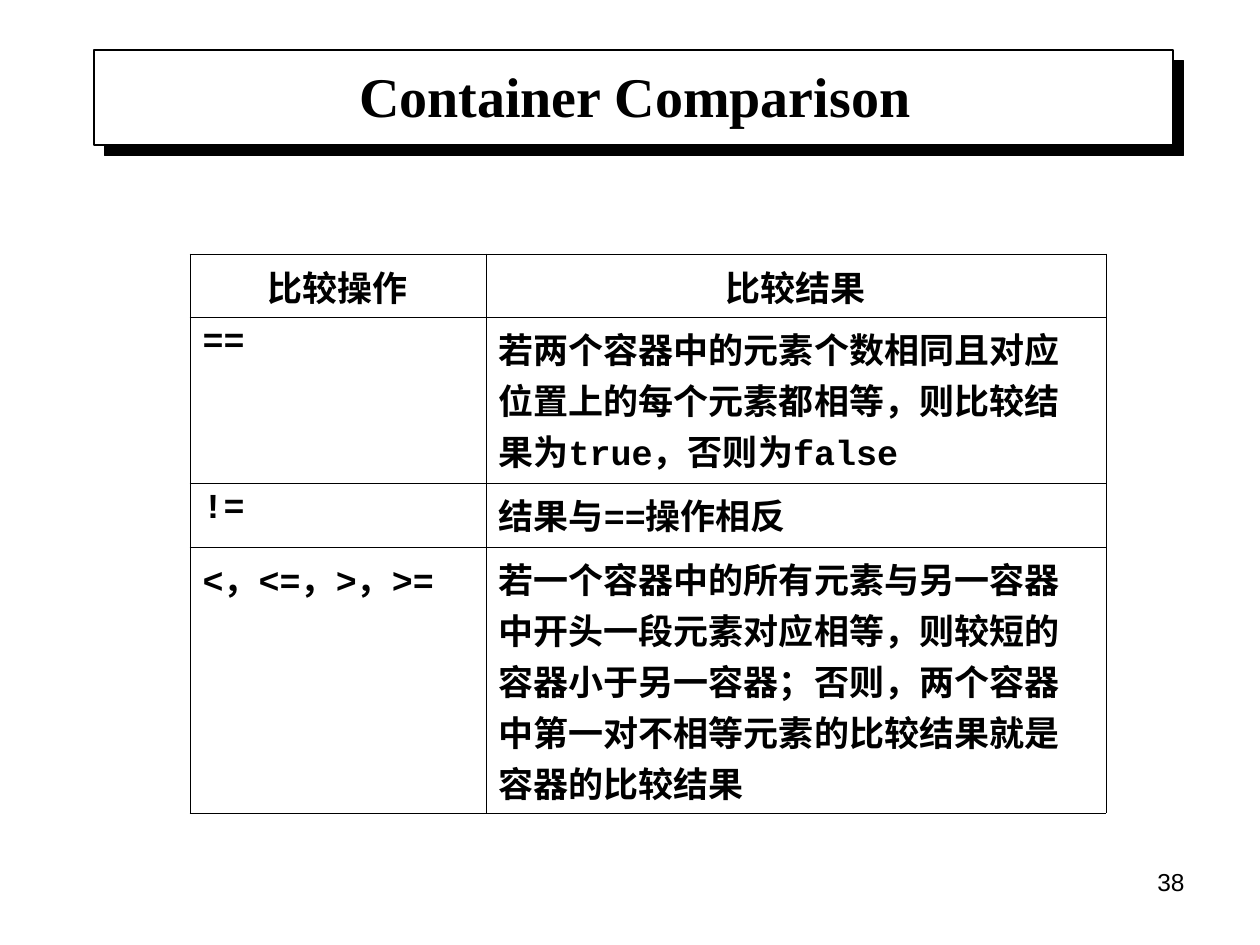
import pptx
import pptx.dml.color
import pptx.enum.shapes
import pptx.enum.text
import pptx.oxml
import pptx.oxml.ns
import pptx.util

PX = 914400 // 126
BLACK, WHITE = "000000", "FFFFFF"
SANS, SERIF, MONO = "Arial", "Times New Roman", "Courier New"
ALIGN = pptx.enum.text.PP_ALIGN
NS = pptx.oxml.ns.nsdecls("a")

TITLE = "Container Comparison"
PAGE_NUMBER = "38"
HEADER = ["比较操作", "比较结果"]
# Each cell is a list of (text, font) runs.
ROWS = [
    ([("==", MONO)],
     [("若两个容器中的元素个数相同且对应位置上的每个元素都相等，则比较结果为", SERIF),
      ("true", MONO), ("，否则为", SERIF), ("false", MONO)]),
    ([("!=", MONO)],
     [("结果与", SERIF), ("==", MONO), ("操作相反", SERIF)]),
    ([("<，<=，>，>=", MONO)],
     [("若一个容器中的所有元素与另一容器中开头一段元素对应相等，则较短的容器小于另一容器；"
       "否则，两个容器中第一对不相等元素的比较结果就是容器的比较结果", SERIF)]),
]
COL_WIDTHS = [296, 620]
ROW_HEIGHTS = [63, 166, 64, 266]
OUTER, INNER = 0.45, 0.34  # horizontal rule widths in points


def px(*lengths):
    return [pptx.util.Emu(n * PX) for n in lengths]


def rgb(color):
    return pptx.dml.color.RGBColor.from_string(color)


def write(p, runs, size, bold=True, align=ALIGN.LEFT):
    p.alignment = align
    for text, font in runs:
        r = p.add_run()
        r.text = text
        r.font.name, r.font.size, r.font.bold = font, pptx.util.Pt(size), bold
        r.font.color.rgb = rgb(BLACK)


def add_title(s):
    title = s.shapes.title
    title.left, title.top, title.width, title.height = px(104, 55, 1062, 80)
    tf = title.text_frame
    tf.auto_size = pptx.enum.text.MSO_AUTO_SIZE.NONE
    tf.vertical_anchor = pptx.enum.text.MSO_ANCHOR.MIDDLE
    write(tf.paragraphs[0], [(TITLE, SERIF)], 32, align=ALIGN.CENTER)

    frame = s.shapes.add_shape(pptx.enum.shapes.MSO_SHAPE.RECTANGLE, *px(94, 50, 1079, 95))
    frame.fill.solid()
    frame.fill.fore_color.rgb = rgb(WHITE)
    frame.line.color.rgb = rgb(BLACK)
    frame.line.width = pptx.util.Pt(0.75)
    frame.shadow.inherit = False
    effects = frame.element.spPr.find(pptx.oxml.ns.qn("a:effectLst"))
    effects.append(pptx.oxml.parse_xml(
        f'<a:outerShdw {NS} dist="{pptx.util.Pt(8.5)}" dir="2700000" algn="ctr" rotWithShape="0">'
        f'<a:srgbClr val="{BLACK}"/></a:outerShdw>'))
    title.element.addprevious(frame.element)  # frame goes behind the title


def set_borders(cell, **widths):
    tcPr = cell._tc.get_or_add_tcPr()
    for i, (side, width) in enumerate(widths.items()):
        tcPr.insert(i, pptx.oxml.parse_xml(
            f'<a:ln{side} {NS} w="{pptx.util.Pt(width)}"><a:solidFill>'
            f'<a:srgbClr val="{BLACK}"/></a:solidFill></a:ln{side}>'))


def add_comparison_table(s):
    grid = [[[(text, SANS)] for text in HEADER], *ROWS]
    table = s.shapes.add_table(len(grid), len(HEADER),
                               *px(190, 254, sum(COL_WIDTHS), sum(ROW_HEIGHTS))).table
    table.first_row = table.horz_banding = False
    for column, width in zip(table.columns, px(*COL_WIDTHS)):
        column.width = width
    rules = [OUTER, OUTER] + [INNER] * (len(grid) - 2) + [OUTER]
    for i, (row, height) in enumerate(zip(table.rows, px(*ROW_HEIGHTS))):
        row.height = height
        for cell, runs in zip(row.cells, grid[i]):
            cell.fill.background()
            set_borders(cell, L=INNER, R=INNER, T=rules[i], B=rules[i + 1])
            write(cell.text_frame.paragraphs[0], runs, 20,
                  align=ALIGN.LEFT if i else ALIGN.CENTER)


def add_page_number(s):
    tf = s.shapes.add_textbox(*px(903, 861, 294, 65)).text_frame
    tf.word_wrap = True
    write(tf.paragraphs[0], [(PAGE_NUMBER, SANS)], 14, bold=False, align=ALIGN.RIGHT)


def main():
    prs = pptx.Presentation()
    prs.slide_width, prs.slide_height = px(1260, 945)
    s = prs.slides.add_slide(prs.slide_layouts[5])
    add_title(s)
    add_page_number(s)
    add_comparison_table(s)
    prs.save("out.pptx")


if __name__ == "__main__":
    main()
